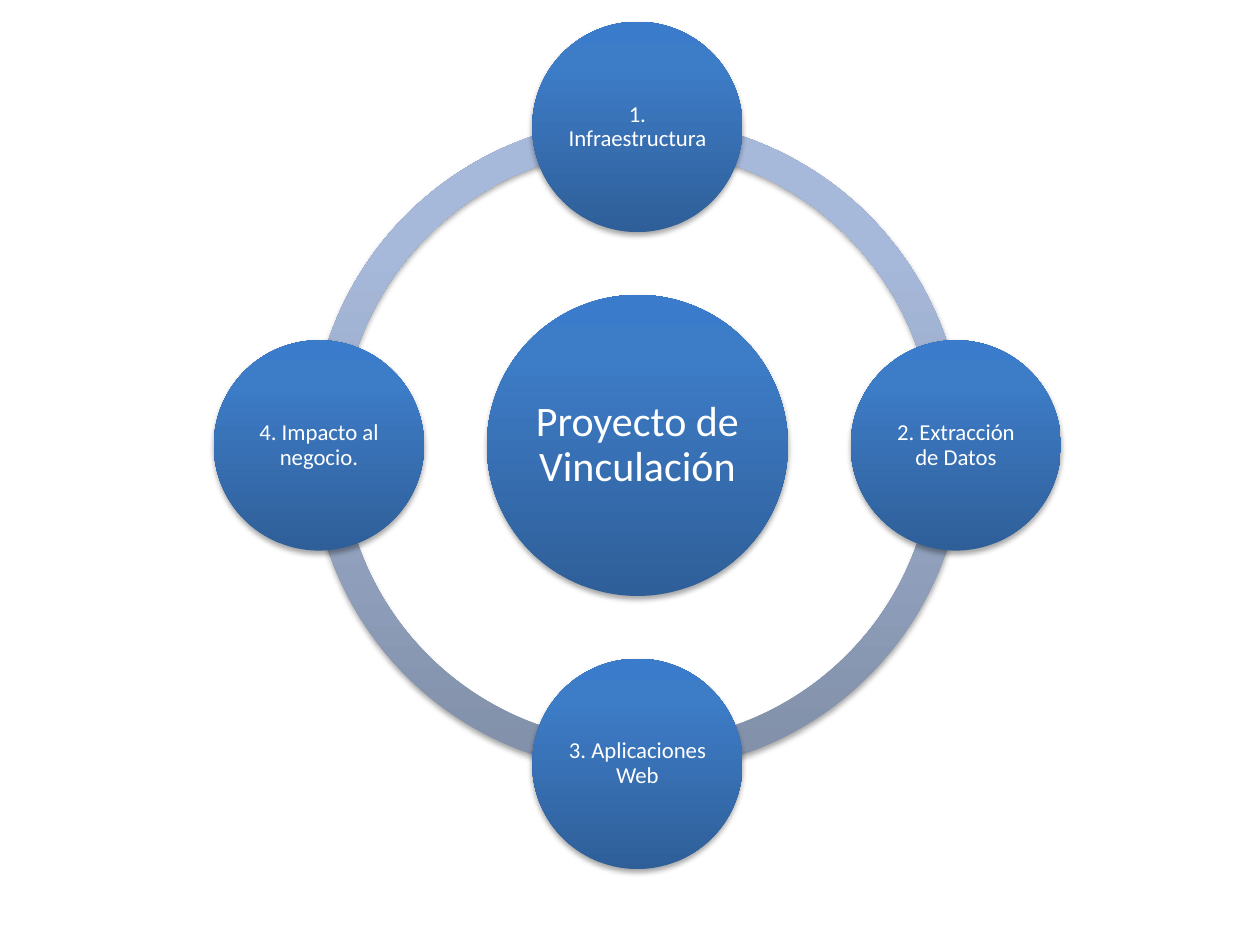
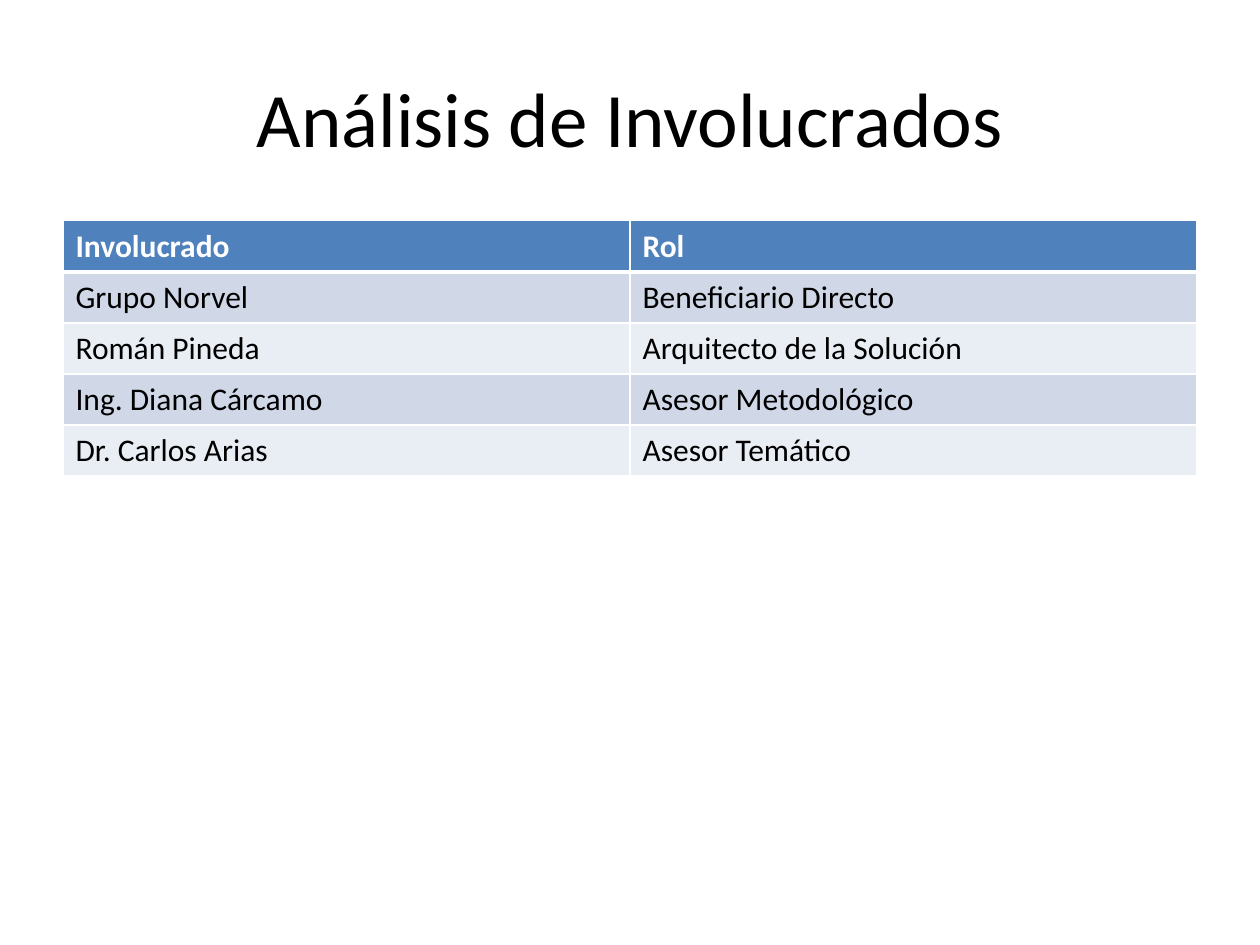
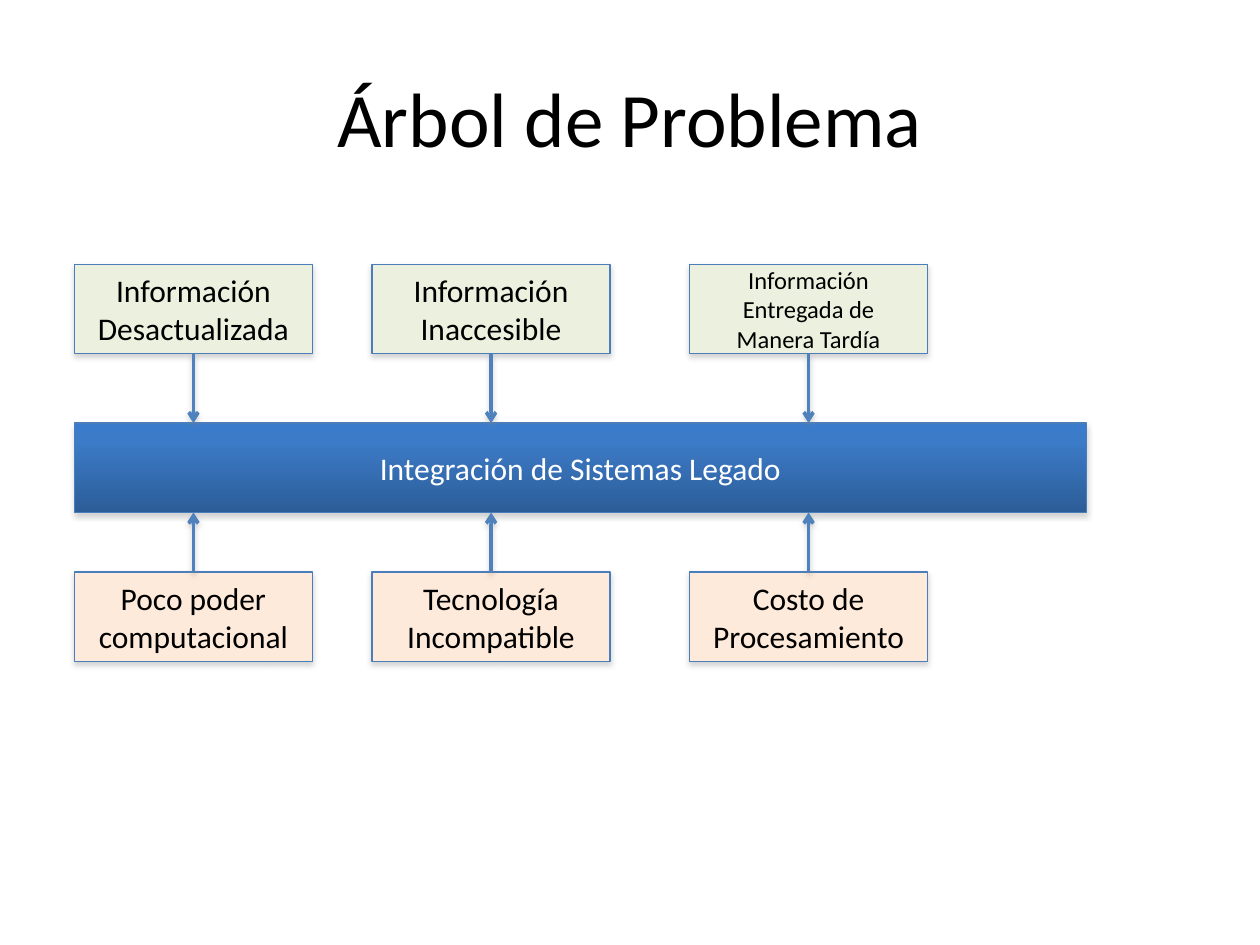
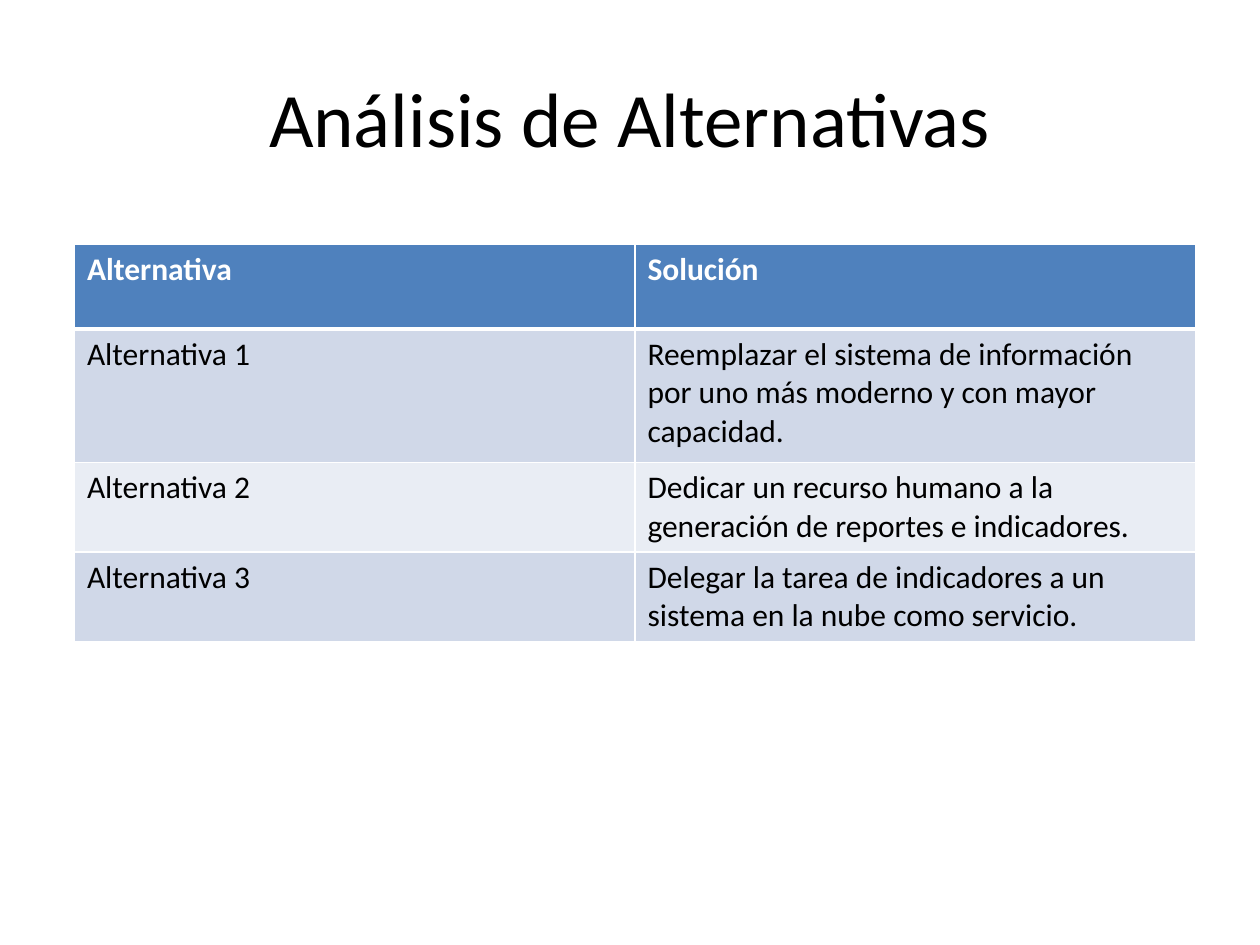
"""Build four slides on a linkage project: cycle, stakeholders, problem tree and alternatives."""
from copy import deepcopy

from pptx import Presentation
from pptx import util as u
from pptx.dml.color import RGBColor
from pptx.enum import shapes, text
from pptx.oxml import parse_xml
from pptx.oxml.ns import nsdecls, qn

FONT = "Calibri"
WHITE, BLACK = "FFFFFF", "000000"
HEADER, BANDS = "4F81BD", ("D0D8E8", "E9EDF4")
OUTLINE, EFFECT, CAUSE = "4A7EBB", "EBF1DE", "FDEADA"
DISC_SHADES = ("2F5F99", "3D7CC7", "3A7CCB")
RING_SHADES = ("818FA8", "A7B9DA", "A7BADC")
BAR_SHADES = ("2C5D98", "3C7BC7", "3A7CCB")


def paint(fill, *colours):
    """Fill with one colour, or with three shades running from bottom to top."""
    if len(colours) == 1:
        fill.solid()
        fill.fore_color.rgb = RGBColor.from_string(colours[0])
        return
    fill.gradient()
    fill.gradient_angle = 90
    stop_list = fill._xPr.find(qn("a:gradFill")).find(qn("a:gsLst"))
    stop_list.append(deepcopy(stop_list[0]))
    for stop, position, colour in zip(fill.gradient_stops, (0, 0.8, 1), colours):
        stop.position = position
        stop.color.rgb = RGBColor.from_string(colour)


def write(frame, words, colour, size, align="CENTER", anchor="MIDDLE", bold=False, spacing=1.0):
    """Put one formatted paragraph into a text frame."""
    frame.word_wrap = True
    frame.vertical_anchor = text.MSO_ANCHOR[anchor]
    para = frame.paragraphs[0]
    para.alignment = text.PP_ALIGN[align]
    para.line_spacing = spacing
    span = para.add_run()
    span.text = words
    for name, value in {"name": FONT, "size": u.Pt(size), "bold": bold}.items():
        setattr(span.font, name, value)
    paint(span.font.fill, colour)


deck = Presentation()
deck.slide_width, deck.slide_height = u.Cm(25.4), u.Cm(19.05)

cycle_page = deck.slides.add_slide(deck.slide_layouts[6])
titled_pages = []
for heading in ("Análisis de Involucrados", "Árbol de Problema", "Análisis de Alternativas"):
    page = deck.slides.add_slide(deck.slide_layouts[5])
    title = page.shapes.title
    place = {"left": 1.27, "top": 0.76, "width": 22.86, "height": 3.18}
    for name, value in place.items():
        setattr(title, name, u.Cm(value))
    write(title.text_frame, heading, BLACK, 44)
    titled_pages.append(page)
people_page, tree_page, options_page = titled_pages

CENTRE_X, CENTRE_Y = 12.85, 8.98
RING_SIZE, CORE_SIZE, STEP_SIZE, ORBIT = 13.16, 6.07, 4.24, 6.42

for start, end in ((108, 162), (54, 108), (0, 54), (162, 0)):
    arc = cycle_page.shapes.add_shape(
        shapes.MSO_SHAPE.BLOCK_ARC,
        u.Cm(CENTRE_X - RING_SIZE / 2), u.Cm(CENTRE_Y - RING_SIZE / 2),
        u.Cm(RING_SIZE), u.Cm(RING_SIZE))
    for index, value in enumerate((start, end, 0.046)):
        arc.adjustments[index] = value
    paint(arc.fill, *RING_SHADES)
    arc.line.fill.background()

discs = (
    ("Proyecto de Vinculación", 0, 0, CORE_SIZE, 24),
    ("1. Infraestructura", 0, -ORBIT, STEP_SIZE, 13),
    ("2. Extracción de Datos", ORBIT, 0, STEP_SIZE, 13),
    ("3. Aplicaciones Web", 0, ORBIT, STEP_SIZE, 13),
    ("4. Impacto al negocio.", -ORBIT, 0, STEP_SIZE, 13),
)
for words, across, down, size, points in discs:
    disc = cycle_page.shapes.add_shape(
        shapes.MSO_SHAPE.OVAL,
        u.Cm(CENTRE_X + across - size / 2), u.Cm(CENTRE_Y + down - size / 2),
        u.Cm(size), u.Cm(size))
    paint(disc.fill, *DISC_SHADES)
    disc.line.fill.background()
    for side in ("left", "top", "right", "bottom"):
        setattr(disc.text_frame, f"margin_{side}", u.Cm(0.06))
    write(disc.text_frame, words, WHITE, points, spacing=0.9)

people = (
    ("Involucrado", "Rol"),
    ("Grupo Norvel", "Beneficiario Directo"),
    ("Román Pineda", "Arquitecto de la Solución"),
    ("Ing. Diana Cárcamo", "Asesor Metodológico"),
    ("Dr. Carlos Arias", "Asesor Temático"),
)
options = (
    ("Alternativa", "Solución"),
    ("Alternativa 1", "Reemplazar el sistema de información por uno más moderno y con mayor capacidad."),
    ("Alternativa 2", "Dedicar un recurso humano a la generación de reportes e indicadores."),
    ("Alternativa 3", "Delegar la tarea de indicadores a un sistema en la nube como servicio."),
)
tables = (
    (people_page, people, 1.27, 4.45, 22.86, [1.03] * 5),
    (options_page, options, 1.5, 4.93, 22.6, [1.7, 2.69, 1.78, 1.78]),
)
for page, rows, left, top, width, heights in tables:
    grid = page.shapes.add_table(
        len(rows), 2, u.Cm(left), u.Cm(top), u.Cm(width), u.Cm(sum(heights))).table
    for row_index, (row, height) in enumerate(zip(rows, heights)):
        grid.rows[row_index].height = u.Cm(height)
        is_header = row_index == 0
        for column_index, words in enumerate(row):
            cell = grid.cell(row_index, column_index)
            thick_edge = {0: "B", 1: "T"}.get(row_index)
            for edge in "LRTB":
                weight = u.Pt(3 if edge == thick_edge else 1)
                cell._tc.get_or_add_tcPr().append(parse_xml(
                    f'<a:ln{edge} {nsdecls("a")} w="{weight}"><a:solidFill>'
                    f'<a:srgbClr val="{WHITE}"/></a:solidFill></a:ln{edge}>'))
            paint(cell.fill, HEADER if is_header else BANDS[(row_index - 1) % 2])
            write(cell.text_frame, words, WHITE if is_header else BLACK, 18,
                  align="LEFT", anchor="TOP", bold=is_header)

BOX_WIDTH, BOX_HEIGHT = 4.8, 1.8
EFFECT_TOP, BAR_TOP, CAUSE_TOP = 5.33, 8.53, 11.53
COLUMNS = (1.5, 7.5, 13.9)

boxes = [("Integración de Sistemas Legado", COLUMNS[0], BAR_TOP, 20.4, BAR_SHADES, WHITE, 18)]
effects = (("Información Desactualizada", 18), ("Información Inaccesible", 18),
           ("Información Entregada de Manera Tardía", 14))
causes = (("Poco poder computacional", 18), ("Tecnología Incompatible", 18),
          ("Costo de Procesamiento", 18))
for labels, top, colour in ((effects, EFFECT_TOP, EFFECT), (causes, CAUSE_TOP, CAUSE)):
    for (words, points), left in zip(labels, COLUMNS):
        boxes.append((words, left, top, BOX_WIDTH, (colour,), BLACK, points))

for words, left, top, width, colours, ink, points in boxes:
    box = tree_page.shapes.add_shape(
        shapes.MSO_SHAPE.RECTANGLE, u.Cm(left), u.Cm(top), u.Cm(width), u.Cm(BOX_HEIGHT))
    paint(box.fill, *colours)
    paint(box.line.fill, OUTLINE)
    box.line.width = u.Pt(0.75)
    write(box.text_frame, words, ink, points)

for start, end in ((EFFECT_TOP + BOX_HEIGHT, BAR_TOP), (CAUSE_TOP, BAR_TOP + BOX_HEIGHT)):
    for left in COLUMNS:
        middle = u.Cm(left + BOX_WIDTH / 2)
        arrow = tree_page.shapes.add_connector(
            shapes.MSO_CONNECTOR.STRAIGHT, middle, u.Cm(start), middle, u.Cm(end))
        paint(arrow.line.fill, HEADER)
        arrow.line.width = u.Pt(2)
        arrow._element.spPr.find(qn("a:ln")).append(
            parse_xml(f'<a:tailEnd {nsdecls("a")} type="arrow"/>'))

for page, shade in ((cycle_page, BLACK), (tree_page, "808080")):
    for shape in page.shapes:
        if not shape.is_placeholder:
            shape._element.spPr.append(parse_xml(
                f'<a:effectLst {nsdecls("a")}><a:outerShdw blurRad="{u.Pt(3.1)}" '
                f'dist="{u.Pt(1.8)}" dir="5400000" rotWithShape="0"><a:srgbClr val="{shade}">'
                '<a:alpha val="35000"/></a:srgbClr></a:outerShdw></a:effectLst>'))

deck.save("out.pptx")
